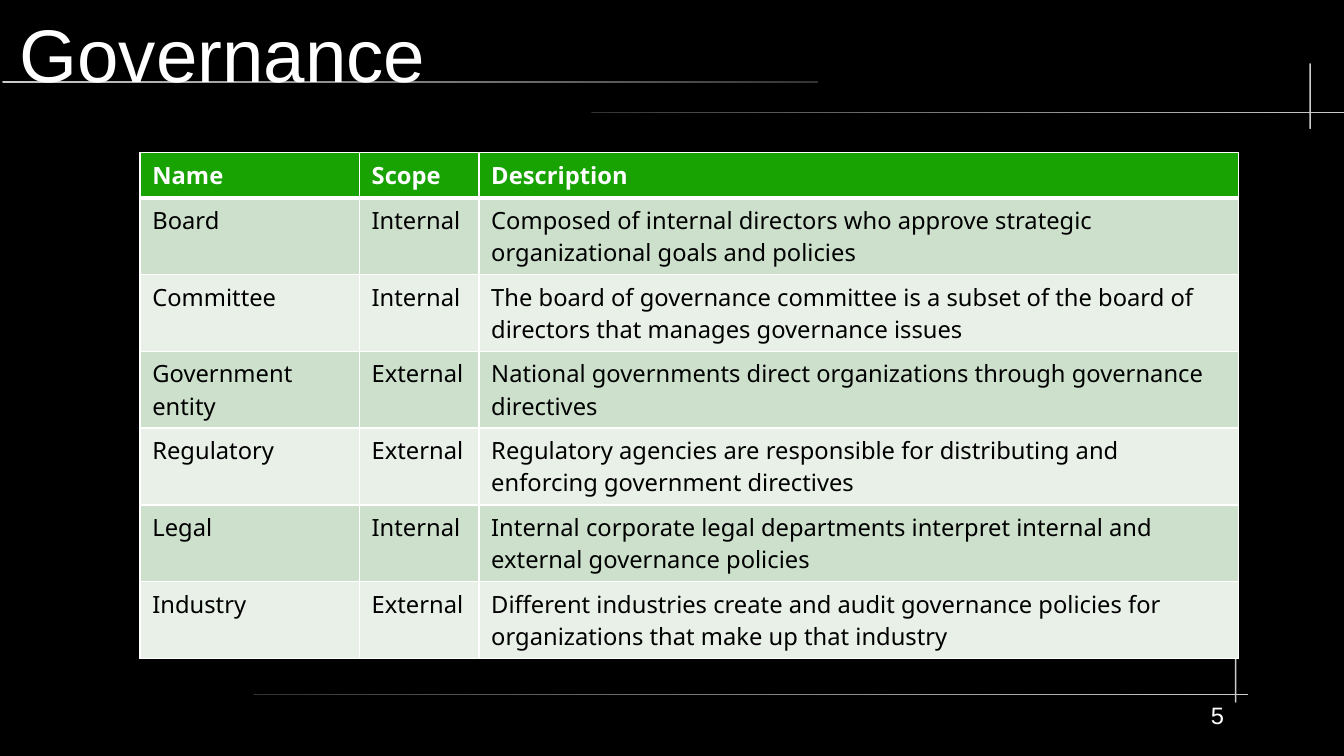
from lxml.etree import SubElement
from pptx import Presentation
from pptx.dml.color import RGBColor
from pptx.enum.shapes import MSO_SHAPE
from pptx.enum.text import MSO_ANCHOR, PP_ALIGN
from pptx.oxml.ns import qn
from pptx.util import Cm, Pt

BLACK = RGBColor(0x00, 0x00, 0x00)
WHITE = RGBColor(0xFF, 0xFF, 0xFF)
LIGHT = RGBColor(0xCC, 0xCC, 0xCC)
DARK = RGBColor(0x33, 0x33, 0x33)
GREEN = RGBColor(0x18, 0xA3, 0x03)
BANDS = RGBColor(0xCC, 0xE0, 0xCC), RGBColor(0xE8, 0xF0, 0xE7)

BARS = [
    ((0.05, 1.68, 17, 0.05), LIGHT, DARK),
    ((12.32, 2.33, 15.77, 0.03), DARK, LIGHT),
    ((27.28, 1.32, 0.03, 1.37), LIGHT, LIGHT),
    ((5.28, 14.45, 20.73, 0.03), DARK, LIGHT),
    ((25.73, 13.67, 0.03, 0.97), LIGHT, LIGHT),
]
WIDTHS = [4.57, 2.49, 15.82]
ROWS = [
    ("Name", "Scope", "Description"),
    ("Board", "Internal", "Composed of internal directors who approve strategic "
     "organizational goals and policies"),
    ("Committee", "Internal", "The board of governance committee is a subset of "
     "the board of directors that manages governance issues"),
    ("Government entity", "External", "National governments direct organizations "
     "through governance directives"),
    ("Regulatory", "External", "Regulatory agencies are responsible for "
     "distributing and enforcing government directives"),
    ("Legal", "Internal", "Internal corporate legal departments interpret "
     "internal and external governance policies"),
    ("Industry", "External", "Different industries create and audit governance "
     "policies for organizations that make up that industry"),
]


class Deck:
    """Hold the style and the current slide."""

    def __init__(self, width, height):
        self.prs = Presentation()
        self.prs.slide_width = Cm(width)
        self.prs.slide_height = Cm(height)
        self.head_font = "Arial"
        self.body_font = "Noto Sans"
        self.slide = None

    def page(self, color):
        self.slide = self.prs.slides.add_slide(self.prs.slide_layouts[6])
        fill = self.slide.background.fill
        fill.solid()
        fill.fore_color.rgb = color

    def bar(self, box, start, end):
        bar = self.slide.shapes.add_shape(MSO_SHAPE.ROUNDED_RECTANGLE, *map(Cm, box))
        bar.adjustments[0] = 0.5
        bar.shadow.inherit = False
        bar.line.fill.background()
        if start == end:
            bar.fill.solid()
            bar.fill.fore_color.rgb = start
            return
        bar.fill.gradient()
        bar.fill.gradient_angle = 0
        for stop, color in zip(bar.fill.gradient_stops, (start, end)):
            stop.color.rgb = color

    def add_text(self, frame, text, size, font, color, bold=False):
        run = frame.paragraphs[0].add_run()
        run.text = text
        run.font.size = Pt(size)
        run.font.name = font
        run.font.color.rgb = color
        run.font.bold = bold

    def label(self, box, text, size, align, anchor):
        frame = self.slide.shapes.add_textbox(*map(Cm, box)).text_frame
        frame.word_wrap = True
        frame.vertical_anchor = anchor
        frame.margin_left = frame.margin_right = 0
        frame.margin_top = frame.margin_bottom = 0
        frame.paragraphs[0].alignment = align
        self.add_text(frame, text, size, self.head_font, WHITE)

    def edge(self, cell, side, width):
        line = SubElement(cell._tc.get_or_add_tcPr(), qn(f"a:ln{side}"), w=str(Pt(width)))
        fill = SubElement(line, qn("a:solidFill"))
        SubElement(fill, qn("a:srgbClr"), val=str(WHITE))

    def grid(self, left, top, widths, heights, rows):
        frame = self.slide.shapes.add_table(
            len(rows), len(widths), Cm(left), Cm(top), Cm(sum(widths)), Cm(sum(heights)))
        table = frame.table
        for col, width in zip(table.columns, widths):
            col.width = Cm(width)
        for i, (row, height) in enumerate(zip(table.rows, heights)):
            row.height = Cm(height)
            head = i == 0
            thick = {0: "B", 1: "T"}.get(i)
            for cell, text in zip(row.cells, rows[i]):
                for side in "LRTB":
                    self.edge(cell, side, 3 if side == thick else 0.96)
                cell.fill.solid()
                cell.fill.fore_color.rgb = GREEN if head else BANDS[(i - 1) % 2]
                self.add_text(cell.text_frame, text, 14, self.body_font,
                              WHITE if head else BLACK, head)


def main():
    deck = Deck(28, 15.75)
    deck.page(BLACK)
    for box, start, end in BARS:
        deck.bar(box, start, end)
    deck.label((0.41, 0.2, 26.5, 1.8), "Governance", 44, PP_ALIGN.LEFT, MSO_ANCHOR.MIDDLE)
    deck.grid(2.92, 3.18, WIDTHS, [0.94] + [1.6] * (len(ROWS) - 1), ROWS)
    deck.label((21, 14.6, 4.5, 1.14), "5", 14, PP_ALIGN.RIGHT, MSO_ANCHOR.TOP)
    deck.prs.save("out.pptx")


if __name__ == "__main__":
    main()
